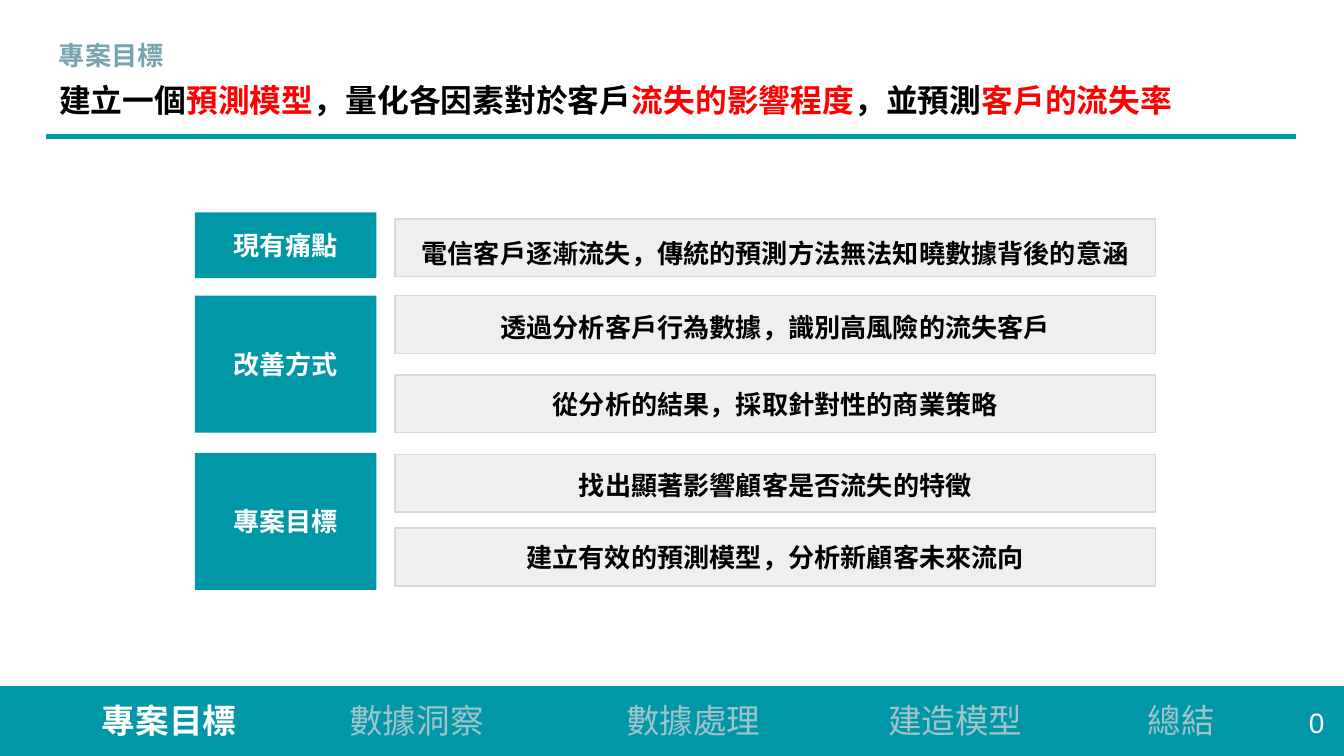
from dataclasses import dataclass
from typing import NamedTuple, Optional

from lxml import etree
from pptx import Presentation
from pptx.dml.color import RGBColor
from pptx.enum.shapes import MSO_SHAPE
from pptx.enum.text import MSO_ANCHOR, MSO_AUTO_SIZE, PP_ALIGN
from pptx.oxml.ns import qn
from pptx.util import Emu, Inches, Pt

RECTANGLE = MSO_SHAPE.RECTANGLE
TOP, MIDDLE = MSO_ANCHOR.TOP, MSO_ANCHOR.MIDDLE
LEFT, CENTER = PP_ALIGN.LEFT, PP_ALIGN.CENTER
NO_AUTOFIT = MSO_AUTO_SIZE.NONE

TEAL = RGBColor(0x00, 0x97, 0xA7)
MUTED_TEAL = RGBColor(0x76, 0xA5, 0xAF)
PALE_TEAL = RGBColor(0xA2, 0xC4, 0xC9)
LIGHT_GREY = RGBColor(0xEF, 0xEF, 0xEF)
BORDER_GREY = RGBColor(0xD9, 0xD9, 0xD9)
WHITE = RGBColor(0xFF, 0xFF, 0xFF)
BLACK = RGBColor(0x00, 0x00, 0x00)
RED = RGBColor(0xFF, 0x00, 0x00)

LATIN = "Arial"
CHINESE = "Noto Sans CJK TC"

SLIDE_WIDTH, SLIDE_HEIGHT = Inches(10), Inches(5.625)
COLUMN = SLIDE_WIDTH / 100
ROW = SLIDE_HEIGHT / 56.25


class Area(NamedTuple):
    column: float
    row: float
    columns: float
    rows: float

    def emu(self) -> tuple:
        return (Emu(round(self.column * COLUMN)), Emu(round(self.row * ROW)),
                Emu(round(self.columns * COLUMN)), Emu(round(self.rows * ROW)))


class Style(NamedTuple):
    size: float
    color: RGBColor
    bold: bool = False
    font: str = LATIN


@dataclass
class Statement:
    text: str
    row: float
    anchor: MSO_ANCHOR = MIDDLE
    spacing: Optional[float] = None


@dataclass
class Topic:
    label: str
    row: float
    rows: float
    statements: list[Statement]


@dataclass
class Section:
    label: str
    column: float
    columns: float
    style: Style


LABEL_STYLE = Style(14, WHITE, True, CHINESE)
STATEMENT_STYLE = Style(14, BLACK, True)
CURRENT_SECTION = Style(18, WHITE, True, CHINESE)
OTHER_SECTION = Style(18, PALE_TEAL, False, CHINESE)

HEADLINE = [
    ("建立一個", BLACK), ("預測模型", RED), ("，量化各因素對於客戶", BLACK),
    ("流失的影響程度", RED), ("，並預測", BLACK), ("客戶的流失率", RED),
]

TOPICS = [
    Topic("現有痛點", 15.8, 4.9, [
        Statement("電信客戶逐漸流失，傳統的預測方法無法知曉數據背後的意涵", 16.3, TOP, 1.15),
    ]),
    Topic("改善方式", 22, 10.2, [
        Statement("透過分析客戶行為數據，識別高風險的流失客戶", 22, spacing=1.15),
        Statement("從分析的結果，採取針對性的商業策略", 27.9),
    ]),
    Topic("專案目標", 33.7, 10.2, [
        Statement("找出顯著影響顧客是否流失的特徵", 33.8, spacing=1.15),
        Statement("建立有效的預測模型，分析新顧客未來流向", 39.3),
    ]),
]

SECTIONS = [
    Section("專案目標", 6.6, 12.8, CURRENT_SECTION),
    Section("數據洞察", 25, 12.8, OTHER_SECTION),
    Section("數據處理", 45.6, 17.7, OTHER_SECTION),
    Section("建造模型", 65.1, 12.8, OTHER_SECTION),
    Section("總結", 84.4, 7.7, OTHER_SECTION),
]


def format_run(run, style: Style) -> None:
    font = run.font
    font.size, font.bold, font.name = Pt(style.size), style.bold, style.font
    font.color.rgb = style.color
    east_asian = etree.Element(qn("a:ea"), typeface=style.font)
    run._r.rPr.find(qn("a:latin")).addnext(east_asian)


def prepare_frame(frame, anchor: MSO_ANCHOR) -> None:
    frame.auto_size = NO_AUTOFIT
    frame.word_wrap = True
    frame.vertical_anchor = anchor
    frame.margin_left = frame.margin_right = Inches(0.1)
    frame.margin_top = frame.margin_bottom = Inches(0.1)


def write(frame, text: str, style: Style, align: PP_ALIGN = LEFT,
          anchor: MSO_ANCHOR = TOP, spacing: Optional[float] = None) -> None:
    prepare_frame(frame, anchor)
    frame.text = text
    paragraph = frame.paragraphs[0]
    paragraph.alignment = align
    if spacing:
        paragraph.line_spacing = spacing
    format_run(paragraph.runs[0], style)


def add_block(slide, area: Area, fill: RGBColor, border: Optional[RGBColor] = None):
    block = slide.shapes.add_shape(RECTANGLE, *area.emu())
    block.shadow.inherit = False
    block.fill.solid()
    block.fill.fore_color.rgb = fill
    if border is None:
        block.line.fill.background()
    else:
        block.line.color.rgb = border
        block.line.width = Pt(0.75)
    return block


def add_caption(slide, area: Area, text: str, style: Style) -> None:
    write(slide.shapes.add_textbox(*area.emu()).text_frame, text, style)


def add_headline(slide) -> None:
    title = slide.shapes.title
    title.left, title.top, title.width, title.height = Area(3.4, 4.6, 93.2, 5.7).emu()
    prepare_frame(title.text_frame, MIDDLE)
    paragraph = title.text_frame.paragraphs[0]
    paragraph.alignment = LEFT
    for text, color in HEADLINE:
        run = paragraph.add_run()
        run.text = text
        format_run(run, Style(17, color, True))


def add_topic(slide, topic: Topic) -> None:
    label = add_block(slide, Area(14.5, topic.row, 13.5, topic.rows), TEAL)
    write(label.text_frame, topic.label, LABEL_STYLE, CENTER, MIDDLE)
    for statement in topic.statements:
        panel = add_block(slide, Area(29.4, statement.row, 56.6, 4.3),
                          LIGHT_GREY, BORDER_GREY)
        write(panel.text_frame, statement.text, STATEMENT_STYLE, CENTER,
              statement.anchor, statement.spacing)


def add_navigation(slide) -> None:
    add_block(slide, Area(0, 51.1, 100, 5.15), TEAL, TEAL)
    for section in SECTIONS:
        add_caption(slide, Area(section.column, 51.1, section.columns, 4.7),
                    section.label, section.style)
    add_caption(slide, Area(96.4, 51.5, 3.3, 3.7), "0", Style(15, WHITE))


def main() -> None:
    deck = Presentation()
    deck.slide_width, deck.slide_height = SLIDE_WIDTH, SLIDE_HEIGHT
    slide = deck.slides.add_slide(deck.slide_layouts.get_by_name("Title Only"))
    add_block(slide, Area(3.5, 10, 92.9, 0.3), TEAL, TEAL)
    add_headline(slide)
    add_caption(slide, Area(3.4, 1.9, 26, 4.3), "專案目標", Style(14, MUTED_TEAL, True))
    add_navigation(slide)
    for topic in TOPICS:
        add_topic(slide, topic)
    deck.save("out.pptx")


if __name__ == "__main__":
    main()
